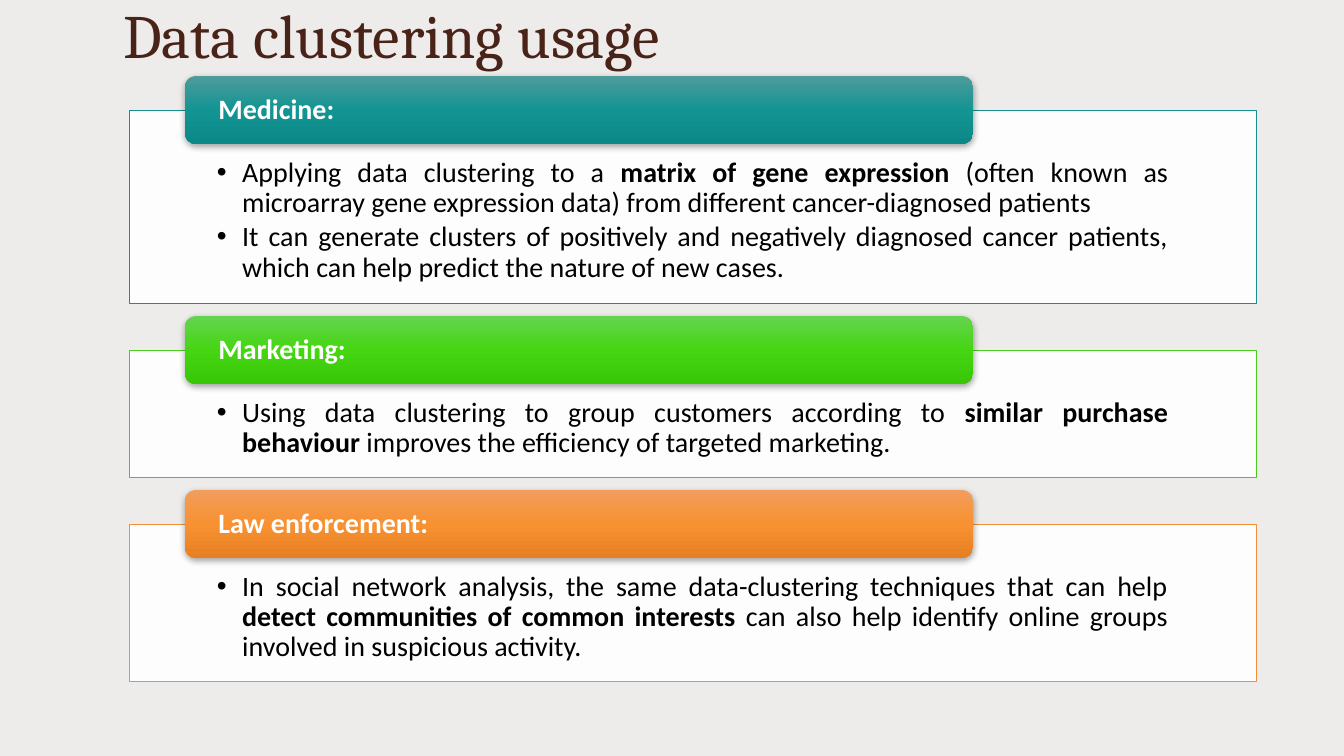
from lxml import etree
from pptx import Presentation, util as u
from pptx.dml.color import RGBColor
from pptx.enum import shapes, text
from pptx.oxml import ns

EMU_PER_PX = 914400 / 100.8

BACKGROUND = RGBColor(0xED, 0xEC, 0xEB)
BROWN = RGBColor(0x4A, 0x23, 0x18)
BLACK = RGBColor(0, 0, 0)
WHITE = RGBColor(0xFF, 0xFF, 0xFF)
TEAL = RGBColor(0x18, 0x8E, 0x8D)
GREEN = RGBColor(0x49, 0xCD, 0x1A)
ORANGE = RGBColor(0xEE, 0x91, 0x3A)
TEAL_SHADES = (RGBColor(0x4E, 0x9C, 0x9B), RGBColor(0x12, 0x94, 0x93), RGBColor(0x0B, 0x89, 0x88))
GREEN_SHADES = (RGBColor(0x65, 0xD4, 0x50), RGBColor(0x45, 0xD6, 0x11), RGBColor(0x39, 0xC6, 0x07))
ORANGE_SHADES = (RGBColor(0xF2, 0x9E, 0x5E), RGBColor(0xF7, 0x91, 0x31), RGBColor(0xE6, 0x80, 0x22))

# Layout of the stacked sections
FIRST_TOP, SECTION_GAP = 76, 13
HEADER_LEFT, HEADER_WIDTH, HEADER_HEIGHT = 185, 788, 68
PANEL_LEFT, PANEL_WIDTH, PANEL_DROP = 129, 1127, 34

# Heading, line colour, header shades, panel height, bullets as (words, bold) runs
SECTIONS = [
    ("Medicine:", TEAL, TEAL_SHADES, 193, [
        [("Applying data clustering to a ", False),
         ("matrix of gene expression ", True),
         ("(often known as microarray gene expression data) from different "
          "cancer-diagnosed patients", False)],
        [("It can generate clusters of positively and negatively diagnosed cancer "
          "patients, which can help predict the nature of new cases.", False)],
    ]),
    ("Marketing:", GREEN, GREEN_SHADES, 127, [
        [("Using data clustering to group customers according to ", False),
         ("similar purchase behaviour ", True),
         ("improves the efficiency of targeted marketing.", False)],
    ]),
    ("Law enforcement:", ORANGE, ORANGE_SHADES, 157, [
        [("In social network analysis, the same data-clustering techniques that can help ", False),
         ("detect communities of common interests", True),
         (" can also help identify online groups involved in suspicious activity.", False)],
    ]),
]


def px(length):
    return u.Emu(round(length * EMU_PER_PX))


def add_xml(parent, tag, **attributes):
    return etree.SubElement(parent, ns.qn(tag), attributes)


def style_font(font, name, size, color, bold=False):
    font.name, font.size, font.bold = name, u.Pt(size), bold
    font.color.rgb = color


def set_frame(frame, anchor, left, top, right, bottom):
    frame.word_wrap = True
    frame.vertical_anchor = anchor
    frame.margin_left, frame.margin_top = px(left), px(top)
    frame.margin_right, frame.margin_bottom = px(right), px(bottom)


def add_title(slide, words):
    title = slide.shapes.add_textbox(px(69), px(-3), px(645), px(147))
    set_frame(title.text_frame, text.MSO_ANCHOR.TOP, 10, 9, 10, 5)
    line = title.text_frame.paragraphs[0]
    line.text = words
    line.alignment = text.PP_ALIGN.CENTER
    line.line_spacing = 0.89
    style_font(line.runs[0].font, "Cambria", 44, BROWN)


def add_bullet(paragraph, runs):
    properties = paragraph._p.get_or_add_pPr()
    properties.set("marL", str(u.Inches(0.25)))
    properties.set("indent", str(-u.Inches(0.25)))
    add_xml(properties, "a:buFont", typeface="Arial")
    add_xml(properties, "a:buChar", char="•")
    paragraph.alignment = text.PP_ALIGN.JUSTIFY
    paragraph.line_spacing = 0.9
    paragraph.space_after = u.Pt(3)
    for words, bold in runs:
        run = paragraph.add_run()
        run.text = words
        style_font(run.font, "Calibri", 20, BLACK, bold)


def add_panel(slide, top, height, color, bullets):
    panel = slide.shapes.add_shape(shapes.MSO_SHAPE.RECTANGLE, px(PANEL_LEFT), px(top),
                                   px(PANEL_WIDTH), px(height))
    panel.shadow.inherit = False
    panel.fill.solid()
    panel.fill.fore_color.rgb = WHITE
    white = panel._element.spPr.find(".//" + ns.qn("a:srgbClr"))
    add_xml(white, "a:alpha", val="90000")
    panel.line.color.rgb = color
    panel.line.width = u.Pt(0.5)
    frame = panel.text_frame
    set_frame(frame, text.MSO_ANCHOR.TOP, 88, 48, 88, 16)
    for index, runs in enumerate(bullets):
        add_bullet(frame.add_paragraph() if index else frame.paragraphs[0], runs)


def shade_header(header, shades):
    properties = header._element.spPr
    # Vertical gradient
    gradient = etree.Element(ns.qn("a:gradFill"), rotWithShape="1")
    stops = add_xml(gradient, "a:gsLst")
    for index, shade in enumerate(shades):
        stop = add_xml(stops, "a:gs", pos=str(index * 50000))
        add_xml(stop, "a:srgbClr", val=str(shade))
    add_xml(gradient, "a:lin", ang="5400000", scaled="0")
    properties.find(ns.qn("a:prstGeom")).addnext(gradient)
    # Soft shadow below
    shadow = add_xml(properties.find(ns.qn("a:effectLst")), "a:outerShdw",
                     blurRad=str(u.Pt(4.5)), dist=str(u.Pt(1.5)), dir="5400000",
                     rotWithShape="0")
    add_xml(add_xml(shadow, "a:srgbClr", val=str(BLACK)), "a:alpha", val="35000")


def add_header(slide, top, heading, shades):
    header = slide.shapes.add_shape(shapes.MSO_SHAPE.ROUNDED_RECTANGLE, px(HEADER_LEFT), px(top),
                                    px(HEADER_WIDTH), px(HEADER_HEIGHT))
    header.line.fill.background()
    header.shadow.inherit = False
    shade_header(header, shades)
    set_frame(header.text_frame, text.MSO_ANCHOR.MIDDLE, 30, 0, 30, 0)
    line = header.text_frame.paragraphs[0]
    line.text = heading
    line.alignment = text.PP_ALIGN.JUSTIFY
    line.line_spacing = 0.9
    style_font(line.runs[0].font, "Calibri", 20, WHITE, True)


def main():
    deck = Presentation()
    deck.slide_width, deck.slide_height = px(1344), px(756)
    slide = deck.slides.add_slide(deck.slide_layouts[6])
    slide.background.fill.solid()
    slide.background.fill.fore_color.rgb = BACKGROUND

    add_title(slide, "Data clustering usage")

    # Each header overlaps the top edge of its panel
    top = FIRST_TOP
    for heading, color, shades, height, bullets in SECTIONS:
        add_panel(slide, top + PANEL_DROP, height, color, bullets)
        add_header(slide, top, heading, shades)
        top += PANEL_DROP + height + SECTION_GAP

    deck.save("out.pptx")


if __name__ == "__main__":
    main()
